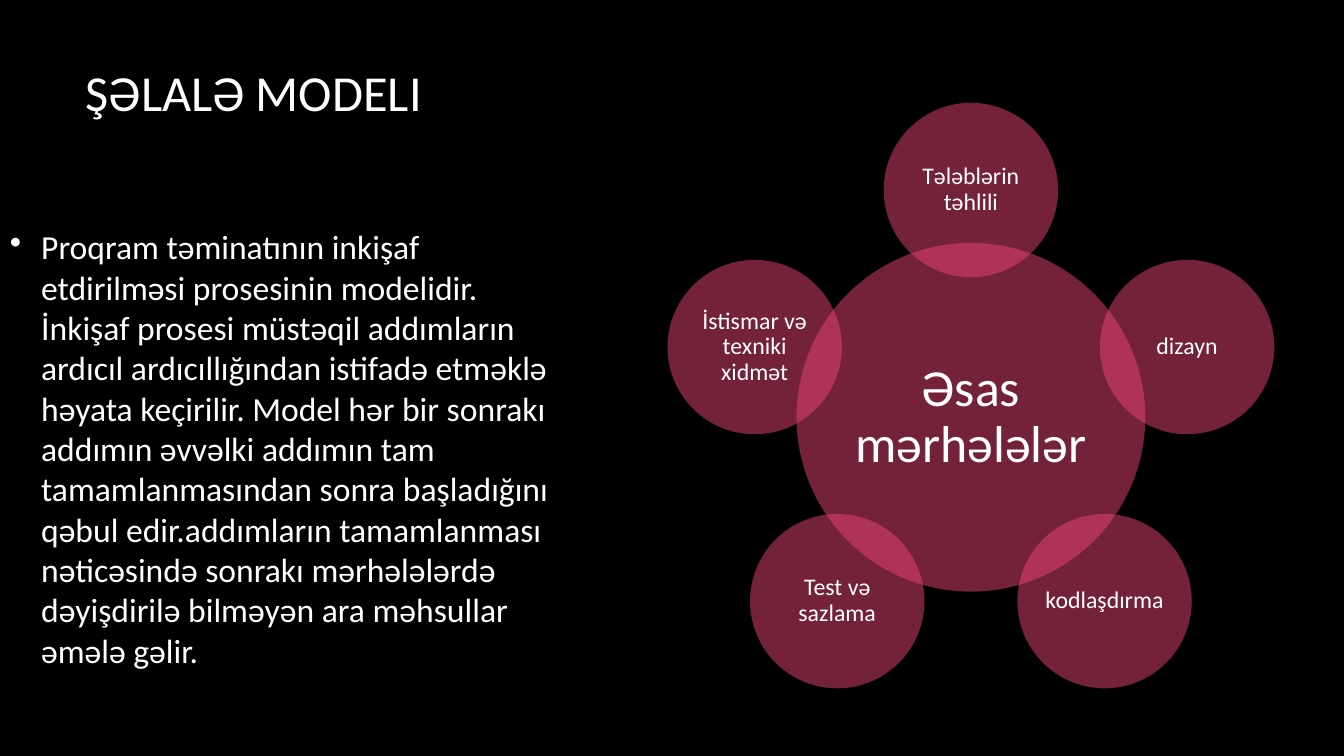
import math

import pptx
import pptx.chart
import pptx.dml.color
import pptx.enum.shapes
import pptx.enum.text
import pptx.oxml
import pptx.oxml.ns
import pptx.util
from pptx.util import Inches

# Content
TITLE = "ŞƏLALƏ MODELI"
DESCRIPTION = (
    "Proqram təminatının inkişaf etdirilməsi prosesinin modelidir. "
    "İnkişaf prosesi müstəqil addımların ardıcıl ardıcıllığından istifadə "
    "etməklə həyata keçirilir. Model hər bir sonrakı addımın əvvəlki addımın "
    "tam tamamlanmasından sonra başladığını qəbul edir.addımların "
    "tamamlanması nəticəsində sonrakı mərhələlərdə dəyişdirilə bilməyən ara "
    "məhsullar əmələ gəlir."
)
HUB = "Əsas mərhələlər"
STAGES = [  # clockwise from the top
    "Tələblərin təhlili",
    "dizayn",
    "kodlaşdırma",
    "Test və sazlama",
    "İstismar və texniki xidmət",
]

THEME = {
    "font": "Calibri",
    "background": "000000",
    "text": "FFFFFF",
    "circle": "E84574",
    "circle_opacity": 50,
    "title_size": 36,
    "body_size": 24,
    "hub_size": 37,
    "stage_size": 17,
}

# Geometry in inches
CENTER_X, CENTER_Y = 9.63, 4.14
HUB_DIAMETER = 3.46
STAGE_DIAMETER = HUB_DIAMETER / 2
ORBIT = 2.255


def color(name):
    return pptx.dml.color.RGBColor.from_string(THEME[name])


def write(shape, text, size):
    frame = shape.text_frame
    frame.word_wrap = True
    frame.vertical_anchor = pptx.enum.text.MSO_ANCHOR.MIDDLE
    para = frame.paragraphs[0]
    para.text = text
    para.font.name = THEME["font"]
    para.font.size = pptx.util.Pt(THEME[size])
    para.font.color.rgb = color("text")
    return para


def add_text(page, left, top, width, height, text, size):
    box = page.shapes.add_textbox(
        Inches(left), Inches(top), Inches(width), Inches(height))
    return write(box, text, size)


def add_bullet(para, indent):
    props = para._p.get_or_add_pPr()
    props.set("marL", str(Inches(indent)))
    props.set("indent", str(-Inches(indent)))
    bullet = pptx.oxml.parse_xml(
        f'<a:buChar {pptx.oxml.ns.nsdecls("a")} char="•"/>')
    props.insert_element_before(bullet, "a:tabLst", "a:defRPr", "a:extLst")


def add_circle(page, center_x, center_y, diameter, text, size, inset):
    circle = page.shapes.add_shape(
        pptx.enum.shapes.MSO_SHAPE.OVAL,
        Inches(center_x - diameter / 2), Inches(center_y - diameter / 2),
        Inches(diameter), Inches(diameter))
    circle.shadow.inherit = False
    circle.line.fill.background()
    circle.fill.solid()
    circle.fill.fore_color.rgb = color("circle")
    tint = circle._element.spPr.find(".//" + pptx.oxml.ns.qn("a:srgbClr"))
    tint.append(pptx.oxml.parse_xml(
        f'<a:alpha {pptx.oxml.ns.nsdecls("a")} '
        f'val="{THEME["circle_opacity"] * 1000}"/>'))
    frame = circle.text_frame
    frame.margin_left = frame.margin_right = Inches(inset)
    frame.margin_top = frame.margin_bottom = Inches(inset)
    para = write(circle, text, size)
    para.alignment = pptx.enum.text.PP_ALIGN.CENTER
    para.line_spacing = 0.9


def main():
    deck = pptx.Presentation()
    deck.slide_width, deck.slide_height = Inches(13.33), Inches(7.5)
    page = deck.slides.add_slide(deck.slide_layouts[6])
    page.background.fill.solid()
    page.background.fill.fore_color.rgb = color("background")

    # Title and description
    add_text(page, 0.75, 0.17, 11.08, 1.48, TITLE, "title_size")
    para = add_text(page, 0, 0.54, 5.75, 7.81, DESCRIPTION, "body_size")
    para.space_after = pptx.util.Pt(10)
    add_bullet(para, 0.31)

    # Hub with the stages evenly spaced around it
    add_circle(page, CENTER_X, CENTER_Y, HUB_DIAMETER, HUB, "hub_size", 0.05)
    for index, stage in enumerate(STAGES):
        angle = 2 * math.pi * index / len(STAGES)
        add_circle(page, CENTER_X + ORBIT * math.sin(angle),
                   CENTER_Y - ORBIT * math.cos(angle),
                   STAGE_DIAMETER, stage, "stage_size", 0.02)

    deck.save("out.pptx")


if __name__ == "__main__":
    main()
